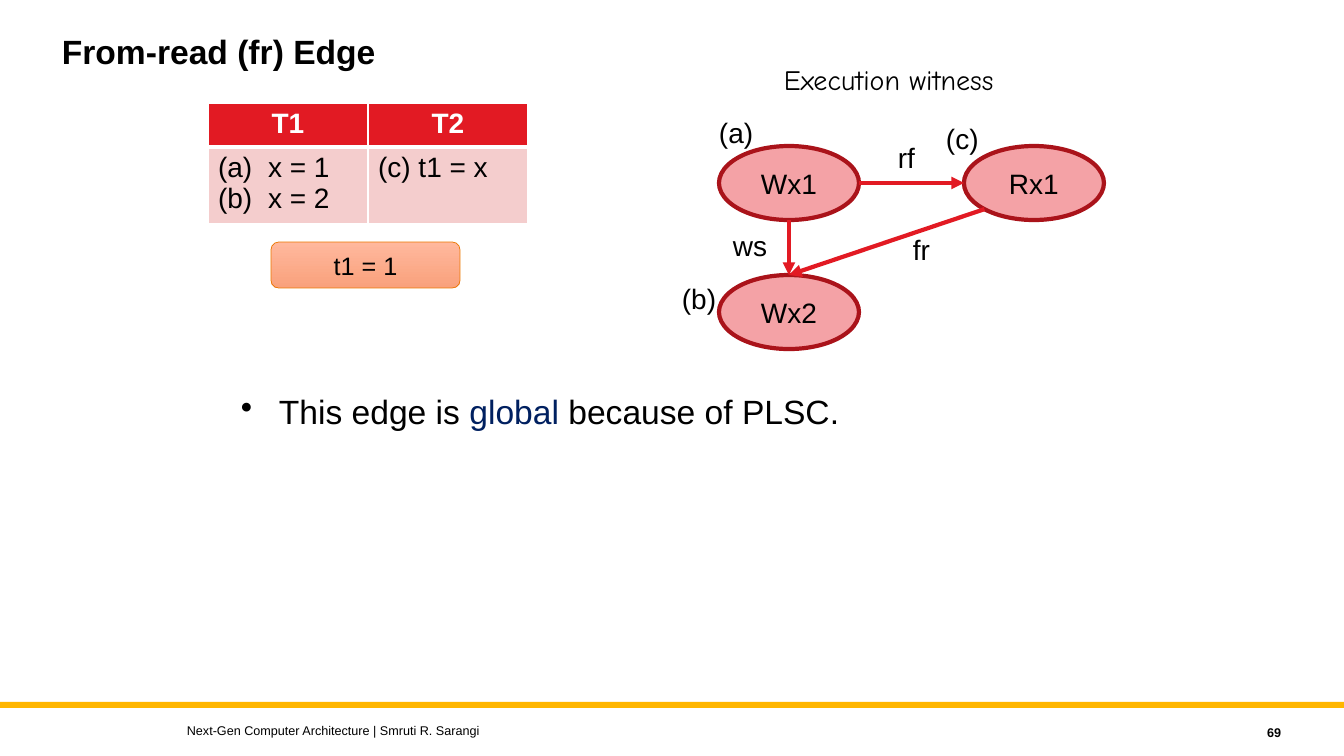
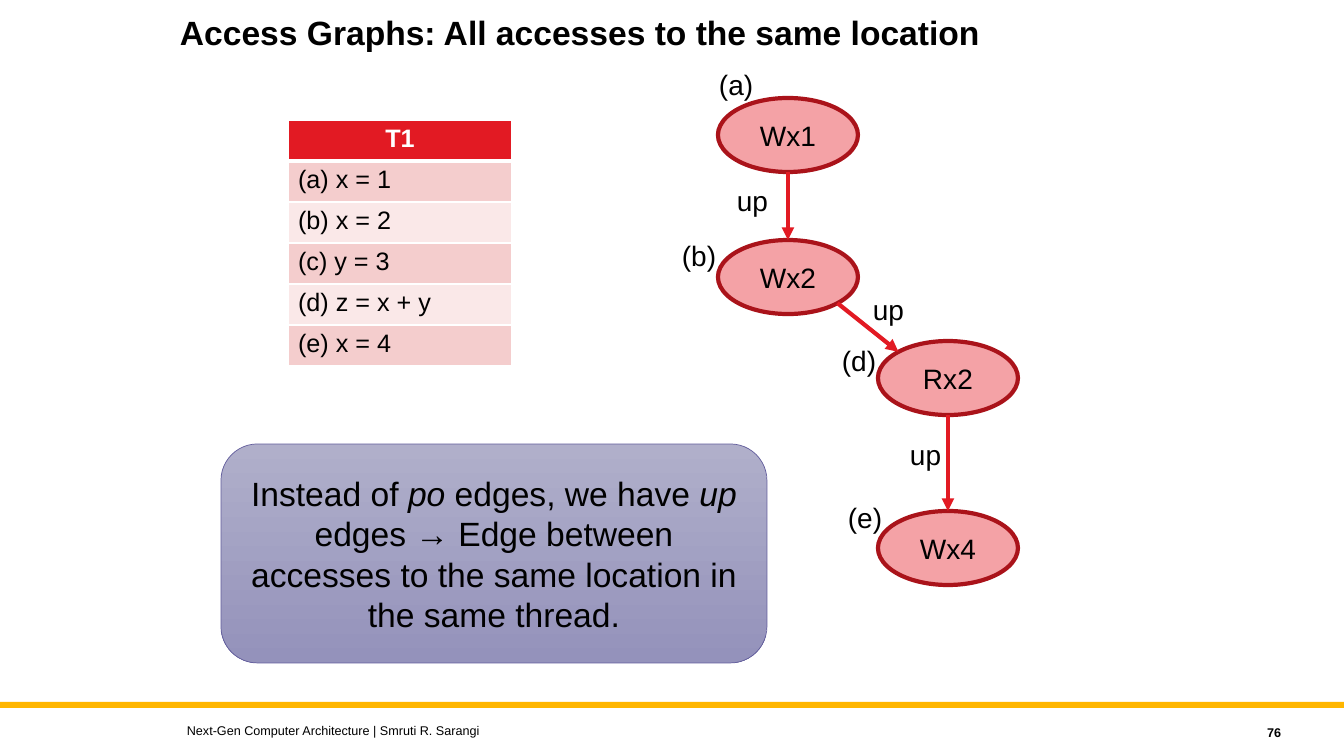
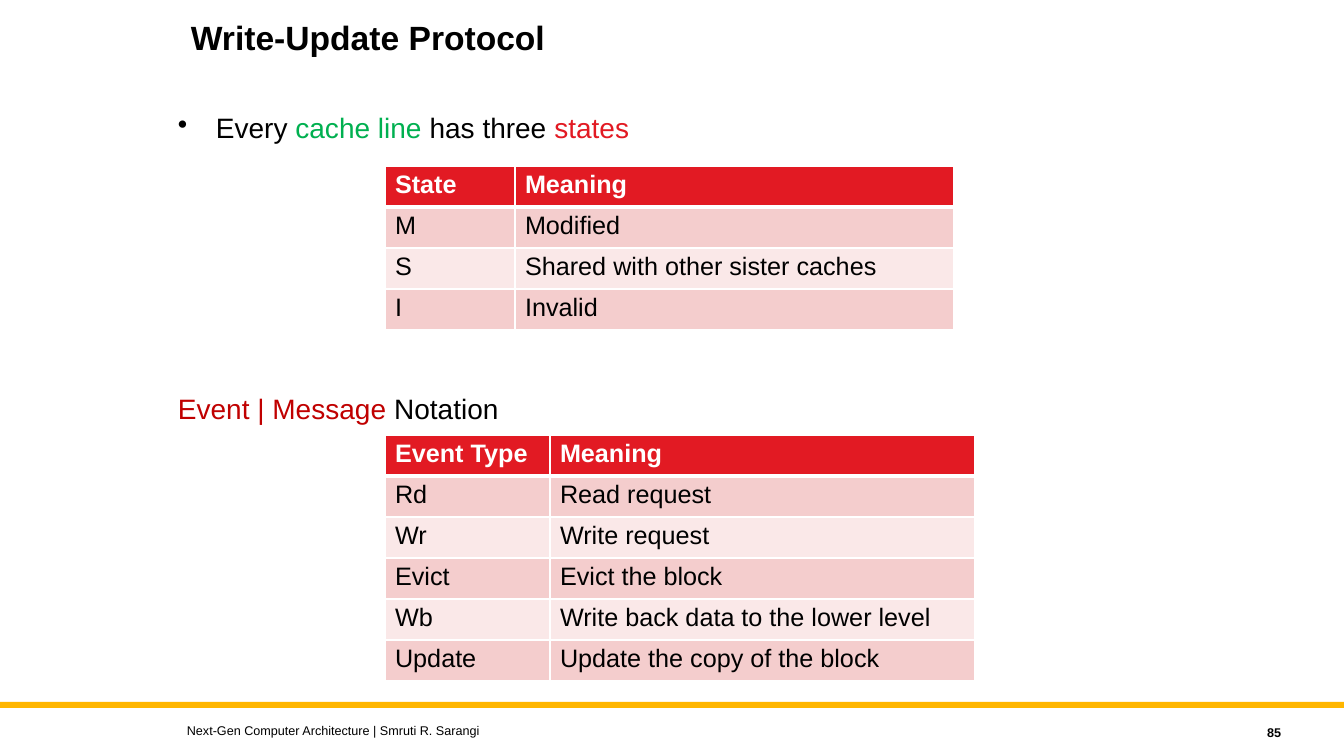
from lxml import etree
from pptx import Presentation
from pptx.dml.color import RGBColor
from pptx.enum.shapes import MSO_CONNECTOR, MSO_SHAPE
from pptx.enum.text import MSO_ANCHOR, PP_ALIGN
from pptx.oxml.ns import qn
from pptx.util import Pt

PX = 914400 / 100.8
FONT = "Arial"
BLACK, WHITE = RGBColor(0, 0, 0), RGBColor(255, 255, 255)
RED = RGBColor(0xE2, 0x1A, 0x23)
DARK_RED = RGBColor(0xAA, 0x13, 0x1A)
BRICK = RGBColor(0xC0, 0x00, 0x00)
PINK = RGBColor(0xF4, 0xA2, 0xA6)
BANDS = RGBColor(0xFA, 0xE8, 0xE8), RGBColor(0xF4, 0xCD, 0xCD)
NAVY = RGBColor(0x00, 0x20, 0x60)
GREEN = RGBColor(0x00, 0xB0, 0x50)
AMBER = RGBColor(0xFF, 0xB6, 0x00)
# Callout colours: gradient top, gradient bottom, outline
PEACH = RGBColor(0xFF, 0xB8, 0x9D), RGBColor(0xF9, 0xA1, 0x7C), RGBColor(0xEC, 0x77, 0x00)
LILAC = RGBColor(0xB0, 0xAF, 0xCA), RGBColor(0x94, 0x92, 0xBB), RGBColor(0x62, 0x5D, 0x9C)
LEFT, CENTER, RIGHT = PP_ALIGN.LEFT, PP_ALIGN.CENTER, PP_ALIGN.RIGHT

# Content: a run is a string or (text, colour, italic); places are in px
FOOTER = "Next-Gen Computer Architecture | Smruti R. Sarangi"
NODE_W, NODE_H, ROW_H = 140, 74, 41
SLIDES = [
    dict(
        number=69, title="From-read (fr) Edge", title_at=(52, 30),
        tables=[dict(at=(208, 103), cols=[160, 160], size=20, head=CENTER, heights=[41, 72],
                     rows=[["T1", "T2"], [["x = 1", "x = 2"], "(c) t1 = x"]])],
        callouts=[dict(at=(271, 242, 189, 46), size=18, colors=PEACH, runs=["t1 = 1"])],
        texts=[
            dict(at=(231, 386, 756, 50), size=24, bullet=True,
                 runs=["This edge is ", ("global", NAVY), " because of PLSC."]),
            dict(at=(774, 58, 257, 44), size=20, font="Comic Neue", runs=["Execution witness"]),
        ],
        nodes={"Wx1": (719, 146), "Wx2": (719, 275), "Rx1": (964, 146)},
        edges=[("Wx1", "S", "Wx2", "N"), ("Wx1", "E", "Rx1", "W"), ("Rx1", "SW", "Wx2", "N")],
        labels=[("ws", 723, 224), ("rf", 888, 136), ("fr", 903, 228),
                ("(a)", 709, 111), ("(b)", 672, 277), ("(c)", 936, 117)],
    ),
    dict(
        number=76, title="Access Graphs: All accesses to the same location", title_at=(170, 11),
        tables=[dict(at=(288, 120), cols=[224], size=18, head=CENTER,
                     rows=[["T1"], ["(a) x = 1"], ["(b) x = 2"], ["(c) y = 3"],
                           ["(d) z = x + y"], ["(e) x = 4"]])],
        callouts=[dict(at=(221, 444, 546, 219), size=24, colors=LILAC,
                       runs=["Instead of ", ("po ", BLACK, True), "edges, we have ",
                             ("up ", BLACK, True),
                             "edges → Edge between accesses to the same location "
                             "in the same thread."])],
        nodes={"Wx1": (718, 98), "Wx2": (718, 240), "Rx2": (878, 341), "Wx4": (878, 511)},
        edges=[("Wx1", "S", "Wx2", "N"), ("Wx2", "SE", "Rx2", "NW"), ("Rx2", "S", "Wx4", "N")],
        labels=[("up", 727, 179), ("up", 863, 288), ("up", 900, 433),
                ("(a)", 709, 63), ("(b)", 672, 234), ("(d)", 832, 339), ("(e)", 838, 496)],
    ),
    dict(
        number=85, title="Write-Update Protocol", title_at=(181, 17),
        tables=[
            dict(at=(385, 166), cols=[130, 439], size=18, head=LEFT,
                 rows=[["State", "Meaning"], ["M", "Modified"],
                       ["S", "Shared with other sister caches"], ["I", "Invalid"]]),
            dict(at=(385, 435), cols=[165, 425], size=18, head=LEFT,
                 rows=[["Event Type", "Meaning"], ["Rd", "Read request"],
                       ["Wr", "Write request"], ["Evict", "Evict the block"],
                       ["Wb", "Write back data to the lower level"],
                       ["Update", "Update the copy of the block"]]),
        ],
        texts=[
            dict(at=(168, 106, 756, 53), size=20, bullet=True,
                 runs=["Every ", ("cache line ", GREEN), "has three ", ("states", RED)]),
            dict(at=(168, 387, 428, 44), size=20,
                 runs=[("Event | Message ", BRICK), "Notation"]),
        ],
    ),
]


def px(*values):
    return [round(v * PX) for v in values]


# Text
def write(p, runs, size, color=BLACK, bold=False, align=LEFT, font=FONT):
    p.alignment = align
    for run in runs:
        text, tint, italic = ((run,) if isinstance(run, str) else run) + (color, False)[
            0 if isinstance(run, str) else len(run) - 1:]
        r = p.add_run()
        r.text = text
        r.font.name, r.font.size = font, Pt(size)
        r.font.bold, r.font.italic = bold, italic
        r.font.color.rgb = tint


def add_marker(p, tag, indent, **attrs):
    pPr = p._p.get_or_add_pPr()
    hang = px(indent)[0]
    pPr.set("marL", str(hang))
    pPr.set("indent", str(-hang))
    etree.SubElement(pPr, qn(tag), attrs)


def add_text(s, at, runs, size, bullet=False, anchor=MSO_ANCHOR.TOP, spacing=None, **style):
    tf = s.shapes.add_textbox(*px(*at)).text_frame
    tf.word_wrap, tf.vertical_anchor = True, anchor
    p = tf.paragraphs[0]
    if spacing:
        p.line_spacing = spacing
    if bullet:
        add_marker(p, "a:buChar", 38, char="•")
    write(p, runs, size, **style)


# Shapes
def add_shape(s, kind, at, line=None, width=0):
    sp = s.shapes.add_shape(kind, *px(*at))
    sp.shadow.inherit = False
    if line is None:
        sp.line.fill.background()
    else:
        sp.line.color.rgb, sp.line.width = line, Pt(width)
    sp.text_frame.word_wrap = True
    sp.text_frame.vertical_anchor = MSO_ANCHOR.MIDDLE
    return sp


def add_solid(s, kind, at, fill, **line):
    sp = add_shape(s, kind, at, **line)
    sp.fill.solid()
    sp.fill.fore_color.rgb = fill
    return sp


def add_callout(s, at, runs, size, colors):
    *gradient, line = colors
    sp = add_shape(s, MSO_SHAPE.ROUNDED_RECTANGLE, at, line, 0.5)
    sp.fill.gradient()
    sp.fill.gradient_angle = 270
    for stop, color in zip(sp.fill.gradient_stops, gradient):
        stop.color.rgb = color
    write(sp.text_frame.paragraphs[0], runs, size, align=CENTER)


# Graph
def site(corner, side):
    """Point on a node's outline in a compass direction."""
    dx = ("E" in side) - ("W" in side)
    dy = ("S" in side) - ("N" in side)
    reach = 0.5 / len(side) ** 0.5
    return (corner[0] + NODE_W * (0.5 + dx * reach),
            corner[1] + NODE_H * (0.5 + dy * reach))


def add_graph(s, nodes, edges, labels):
    for name, corner in nodes.items():
        sp = add_solid(s, MSO_SHAPE.OVAL, (*corner, NODE_W, NODE_H), PINK,
                       line=DARK_RED, width=3)
        write(sp.text_frame.paragraphs[0], [name], 20, align=CENTER)
    for start, out_side, end, in_side in edges:
        points = site(nodes[start], out_side) + site(nodes[end], in_side)
        edge = s.shapes.add_connector(MSO_CONNECTOR.STRAIGHT, *px(*points))
        edge.line.color.rgb, edge.line.width = RED, Pt(3)
        etree.SubElement(edge.line._get_or_add_ln(), qn("a:tailEnd"), type="triangle")
        etree.SubElement(edge._element.spPr, qn("a:effectLst"))
    for text, x, y in labels:
        add_text(s, (x, y, 101, 44), [text], 20)


# Tables
def add_borders(cell, **widths):
    tcPr = cell._tc.get_or_add_tcPr()
    for side, width in widths.items():
        ln = etree.SubElement(tcPr, qn("a:ln" + side), w=str(Pt(width)))
        fill = etree.SubElement(ln, qn("a:solidFill"))
        etree.SubElement(fill, qn("a:srgbClr"), val=str(WHITE))


def add_table(s, at, cols, rows, size, head, heights=None):
    heights = heights or [ROW_H] * len(rows)
    table = s.shapes.add_table(len(rows), len(cols),
                               *px(*at, sum(cols), sum(heights))).table
    for col, width in zip(table.columns, px(*cols)):
        col.width = width
    for i, (row, height) in enumerate(zip(rows, px(*heights))):
        table.rows[i].height = height
        if i == 0:
            fill, style = RED, dict(color=WHITE, bold=True, align=head)
        else:
            fill, style = BANDS[i % 2], {}
        for j, content in enumerate(row):
            cell = table.cell(i, j)
            add_borders(cell, L=1, R=1, T=3 if i == 1 else 1, B=3 if i == 0 else 1)
            cell.fill.solid()
            cell.fill.fore_color.rgb = fill
            numbered = isinstance(content, list)
            for k, text in enumerate(content if numbered else [content]):
                tf = cell.text_frame
                p = tf.add_paragraph() if k else tf.paragraphs[0]
                if numbered:
                    add_marker(p, "a:buAutoNum", 50, type="alphaLcParenBoth")
                write(p, [text], size, **style)


# Shared frame: band, title, footer and page number
def add_frame(s, title, title_at, number):
    add_solid(s, MSO_SHAPE.RECTANGLE, (0, 702, 1344, 6), AMBER)
    add_text(s, (*title_at, 1008, 91), [title], 24, bold=True, spacing=0.9)
    add_text(s, (177, 718, 806, 25), [FOOTER], 9, anchor=MSO_ANCHOR.MIDDLE)
    add_text(s, (1150, 720, 141, 25), [str(number)], 9, anchor=MSO_ANCHOR.MIDDLE,
             bold=True, align=RIGHT)


def main():
    prs = Presentation()
    prs.slide_width, prs.slide_height = px(1344, 756)
    for page in SLIDES:
        s = prs.slides.add_slide(prs.slide_layouts[6])
        add_frame(s, page["title"], page["title_at"], page["number"])
        for text in page.get("texts", []):
            add_text(s, **text)
        for table in page["tables"]:
            add_table(s, **table)
        for callout in page.get("callouts", []):
            add_callout(s, **callout)
        if "nodes" in page:
            add_graph(s, page["nodes"], page["edges"], page["labels"])
    prs.save("out.pptx")


if __name__ == "__main__":
    main()
